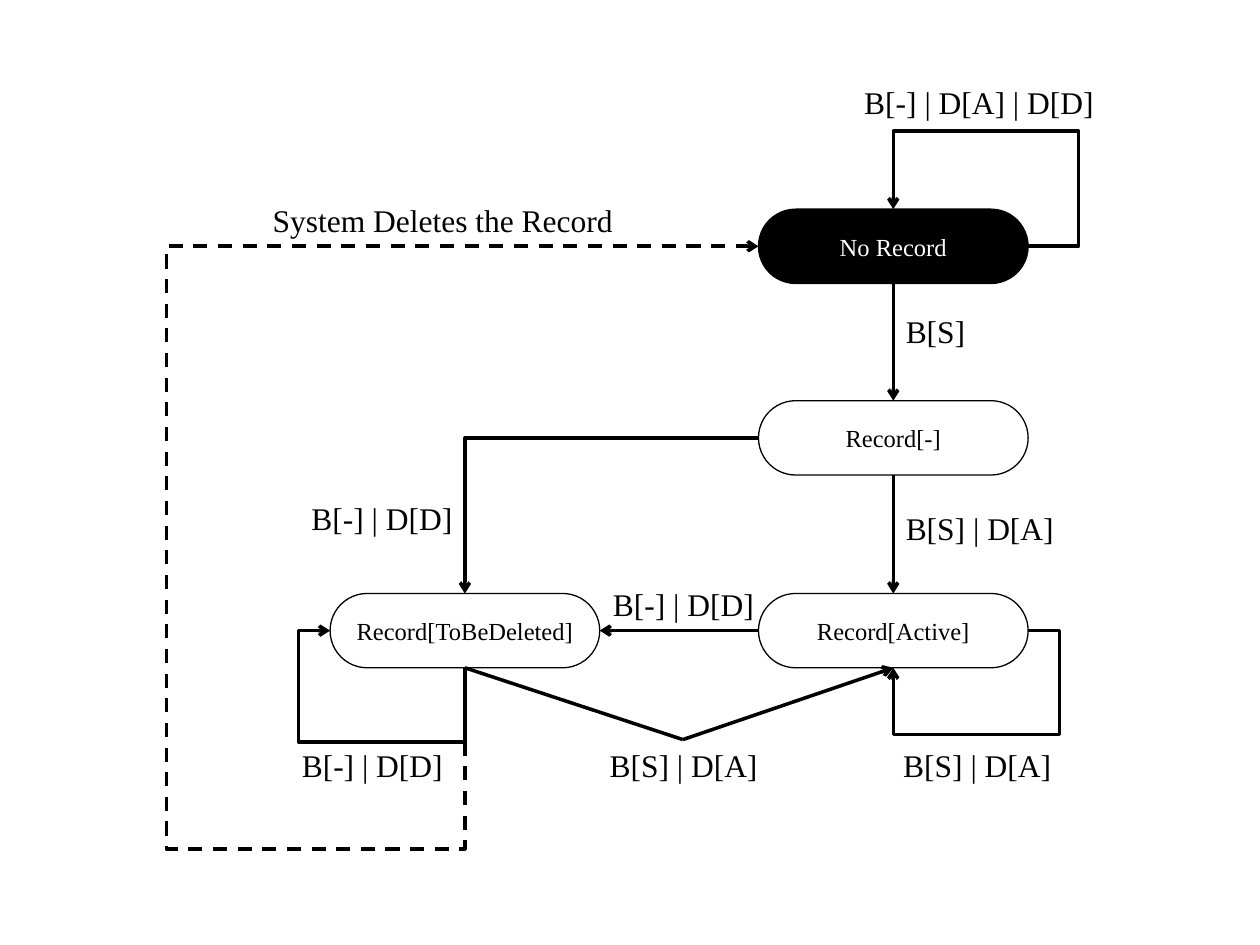
from pptx import Presentation
from pptx.dml.color import RGBColor
from pptx.enum.dml import MSO_LINE
from pptx.enum.shapes import MSO_CONNECTOR, MSO_SHAPE
from pptx.enum.text import MSO_ANCHOR, MSO_AUTO_SIZE, PP_ALIGN
from pptx.oxml.ns import qn
from pptx.util import Inches, Pt
from lxml.etree import SubElement

FONT = "Times New Roman"
COLORS = {"ink": "000000", "paper": "FFFFFF"}
WIDE, HIGH = 2.14, 0.59
LEFT, RIGHT = 2.62, 6.02
TOPS = [1.66, 3.18, 4.71]


def color(name):
    """Look up a named colour."""
    return RGBColor.from_string(COLORS[name])


def write(frame, text, size=18, ink="ink", align=PP_ALIGN.CENTER):
    """Put formatted text in a frame."""
    para = frame.paragraphs[0]
    para.alignment = align
    run = para.add_run()
    run.text = text
    run.font.name = FONT
    run.font.size = Pt(size)
    run.font.color.rgb = color(ink)


def state(slide, left, top, text, fill="paper", ink="ink"):
    """Draw a state as a pill with its name."""
    pill = slide.shapes.add_shape(MSO_SHAPE.ROUNDED_RECTANGLE, Inches(left),
                                  Inches(top), Inches(WIDE), Inches(HIGH))
    pill.adjustments[0] = 0.5
    pill.shadow.inherit = False
    pill.fill.solid()
    pill.fill.fore_color.rgb = color(fill)
    pill.line.color.rgb = color("ink")
    pill.line.width = Pt(0.75)
    frame = pill.text_frame
    frame.word_wrap = False
    frame.vertical_anchor = MSO_ANCHOR.MIDDLE
    write(frame, text, size=14, ink=ink)


def label(slide, left, top, width, text, align=PP_ALIGN.CENTER):
    """Add the text beside a line."""
    box = slide.shapes.add_textbox(Inches(left), Inches(top),
                                   Inches(width), Inches(0.4))
    box.text_frame.word_wrap = False
    box.text_frame.auto_size = MSO_AUTO_SIZE.SHAPE_TO_FIT_TEXT
    write(box.text_frame, text, align=align)


def link(slide, start, end, kind=MSO_CONNECTOR.STRAIGHT, head=True, dash=False):
    """Draw a line between two points, with an arrowhead at its end."""
    line = slide.shapes.add_connector(kind, *map(Inches, start + end))
    line.line.color.rgb = color("ink")
    line.line.width = Pt(2)
    if dash:
        line.line.dash_style = MSO_LINE.DASH
    props = line.element.spPr
    if head:
        SubElement(props.find(qn("a:ln")), qn("a:tailEnd"), type="arrow")
    SubElement(props, qn("a:effectLst"))
    return props


def bend(slide, start, end, turn=None, down=False, dash=False):
    """Draw an elbow arrow; turn is its outer corner, down its first way."""
    (x1, y1), (x2, y2) = start, end
    ends = start, end
    if down:
        # The box of a quarter-turned connector, around the same middle
        mid_x, mid_y = (x1 + x2) / 2, (y1 + y2) / 2
        ends = [(mid_x + y - mid_y, mid_y - x + mid_x) for x, y in ends]
    props = link(slide, *ends, kind=MSO_CONNECTOR.ELBOW, dash=dash)
    if down:
        props.find(qn("a:xfrm")).set("rot", "5400000")
    geom = props.find(qn("a:prstGeom"))
    geom.set("prst", "bentConnector4" if turn else "bentConnector2")
    if turn:
        parts = [(turn[0] - x1) / (x2 - x1), (turn[1] - y1) / (y2 - y1)]
        if down:
            parts.reverse()
        guides = geom.find(qn("a:avLst"))
        for num, part in enumerate(parts, 1):
            SubElement(guides, qn("a:gd"), name=f"adj{num}",
                       fmla=f"val {round(part * 100000)}")


def main():
    """Build the state diagram."""
    deck = Presentation()
    deck.slide_width, deck.slide_height = Inches(10), Inches(7.5)
    slide = deck.slides.add_slide(deck.slide_layouts[6])

    state(slide, RIGHT, TOPS[0], "No Record", fill="ink", ink="paper")
    state(slide, RIGHT, TOPS[1], "Record[-]")
    state(slide, RIGHT, TOPS[2], "Record[Active]")
    state(slide, LEFT, TOPS[2], "Record[ToBeDeleted]")

    near, far = LEFT + WIDE / 2, RIGHT + WIDE / 2
    edge = RIGHT + WIDE
    mids = [top + HIGH / 2 for top in TOPS]
    base = TOPS[2] + HIGH
    dip = (5.42, 5.87)

    for above, below in zip(TOPS, TOPS[1:]):
        link(slide, (far, above + HIGH), (far, below))
    link(slide, (RIGHT, mids[2]), (LEFT + WIDE, mids[2]))
    link(slide, (near, base), dip, head=False)
    link(slide, dip, (far, base))

    bend(slide, (RIGHT, mids[1]), (near, TOPS[2]))
    bend(slide, (edge, mids[0]), (far, TOPS[0]), turn=(8.56, 1.04))
    bend(slide, (edge, mids[2]), (far, base), turn=(8.41, 5.83))
    bend(slide, (near, base), (RIGHT, mids[0]), turn=(1.32, 6.74),
         down=True, dash=True)
    bend(slide, (near, base), (LEFT, mids[2]), turn=(2.37, 5.89), down=True)

    keep, drop = "B[S] | D[A]", "B[-] | D[D]"
    label(slide, 2.05, 1.55, 2.93, "System Deletes the Record")
    label(slide, 6.75, 0.61, 2.04, "B[-] | D[A] | D[D]")
    label(slide, far, 2.43, 0.68, "B[S]", align=PP_ALIGN.LEFT)
    label(slide, far, 3.99, 1.39, keep, align=PP_ALIGN.LEFT)
    label(slide, 7.07, 5.87, 1.39, keep, align=PP_ALIGN.LEFT)
    label(slide, 4.73, 5.87, 1.39, keep)
    label(slide, 2.36, 3.91, 1.33, drop, align=PP_ALIGN.RIGHT)
    label(slide, 4.76, 4.59, 1.33, drop)
    label(slide, 2.29, 5.87, 1.33, drop)
    deck.save("out.pptx")


main()
